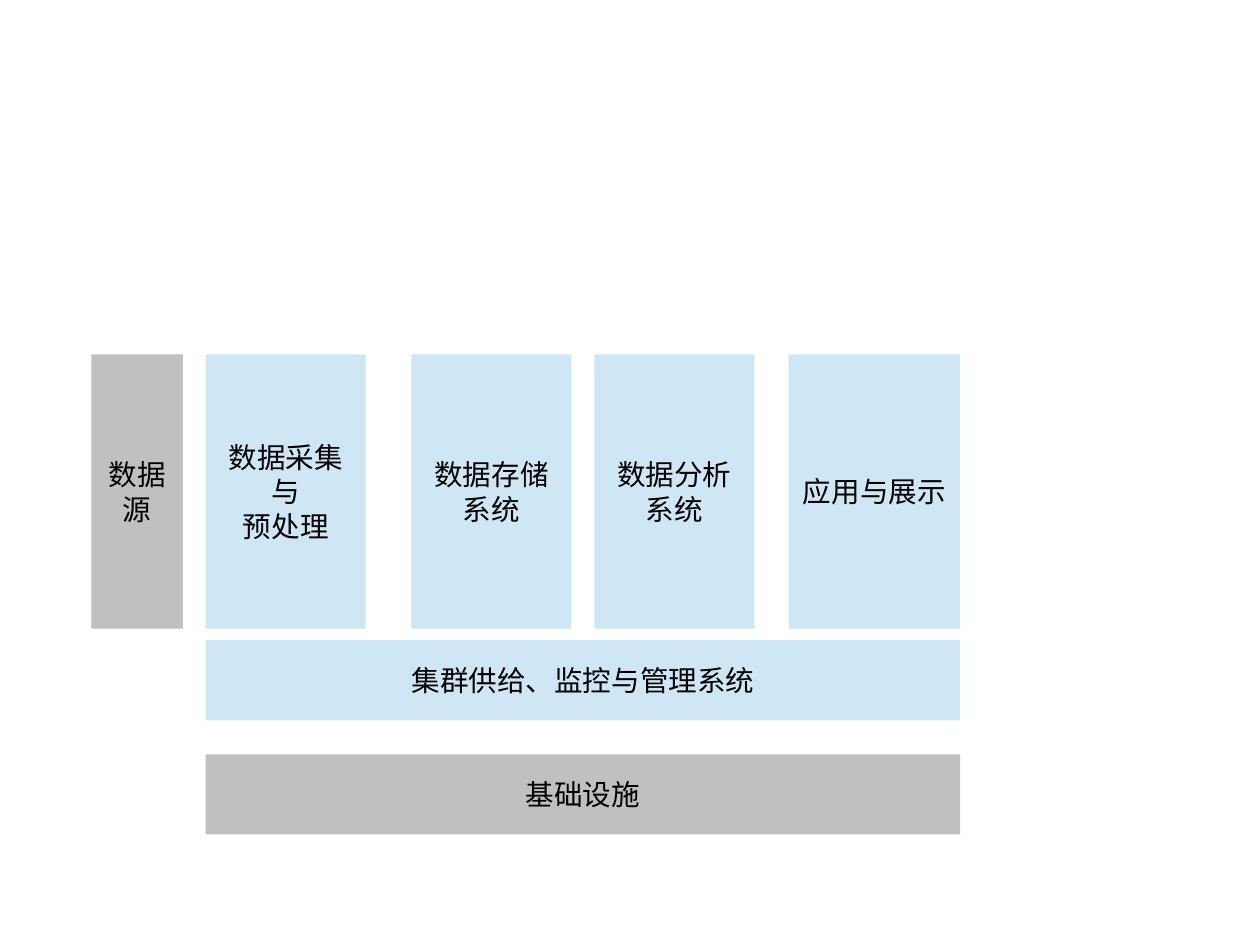
from pptx import Presentation
from pptx.dml.color import RGBColor
from pptx.enum.shapes import MSO_SHAPE
from pptx.enum.text import MSO_ANCHOR, PP_ALIGN
from pptx.util import Inches, Pt

SYSTEM_BLUE = RGBColor(0xCF, 0xE7, 0xF5)
EXTERNAL_GRAY = RGBColor(0xC0, 0xC0, 0xC0)
BLACK = RGBColor(0, 0, 0)

# The page measures 28 by 21 cm
CM_PER_INCH = 2.54
PAGE_WIDTH, PAGE_HEIGHT = 28 / CM_PER_INCH, 21 / CM_PER_INCH

STAGE_TOP, STAGE_HEIGHT = 3.1, 2.4
LAYER_LEFT, LAYER_WIDTH, LAYER_HEIGHT = 1.8, 6.6, 0.7

# Text, left, width, fill
STAGES = [
    ("数据采集\n与\n预处理", 1.8, 1.4, SYSTEM_BLUE),
    ("数据源", 0.8, 0.8, EXTERNAL_GRAY),
    ("数据存储\n系统", 3.6, 1.4, SYSTEM_BLUE),
    ("数据分析\n系统", 5.2, 1.4, SYSTEM_BLUE),
    ("应用与展示", 6.9, 1.5, SYSTEM_BLUE),
]
# Text, top, fill
LAYERS = [
    ("集群供给、监控与管理系统", 5.6, SYSTEM_BLUE),
    ("基础设施", 6.6, EXTERNAL_GRAY),
]


def write_text(frame, text, size=18, font="Arial", color=BLACK,
               align=PP_ALIGN.CENTER, anchor=MSO_ANCHOR.MIDDLE):
    frame.word_wrap = True
    frame.vertical_anchor = anchor
    frame.text = text
    for line in frame.paragraphs:
        line.alignment = align
        line.font.size = Pt(size)
        line.font.name = font
        line.font.color.rgb = color


def add_block(slide, text, left, top, width, height, fill):
    block = slide.shapes.add_shape(
        MSO_SHAPE.RECTANGLE,
        Inches(left), Inches(top), Inches(width), Inches(height))
    block.shadow.inherit = False
    block.fill.solid()
    block.fill.fore_color.rgb = fill
    block.line.fill.background()
    write_text(block.text_frame, text)


def main():
    deck = Presentation()
    deck.slide_width, deck.slide_height = Inches(PAGE_WIDTH), Inches(PAGE_HEIGHT)
    slide = deck.slides.add_slide(deck.slide_layouts[6])

    # Supporting layers
    for text, top, fill in LAYERS:
        add_block(slide, text, LAYER_LEFT, top, LAYER_WIDTH, LAYER_HEIGHT, fill)

    # Data pipeline stages
    for text, left, width, fill in STAGES:
        add_block(slide, text, left, STAGE_TOP, width, STAGE_HEIGHT, fill)

    deck.save("out.pptx")


if __name__ == "__main__":
    main()
